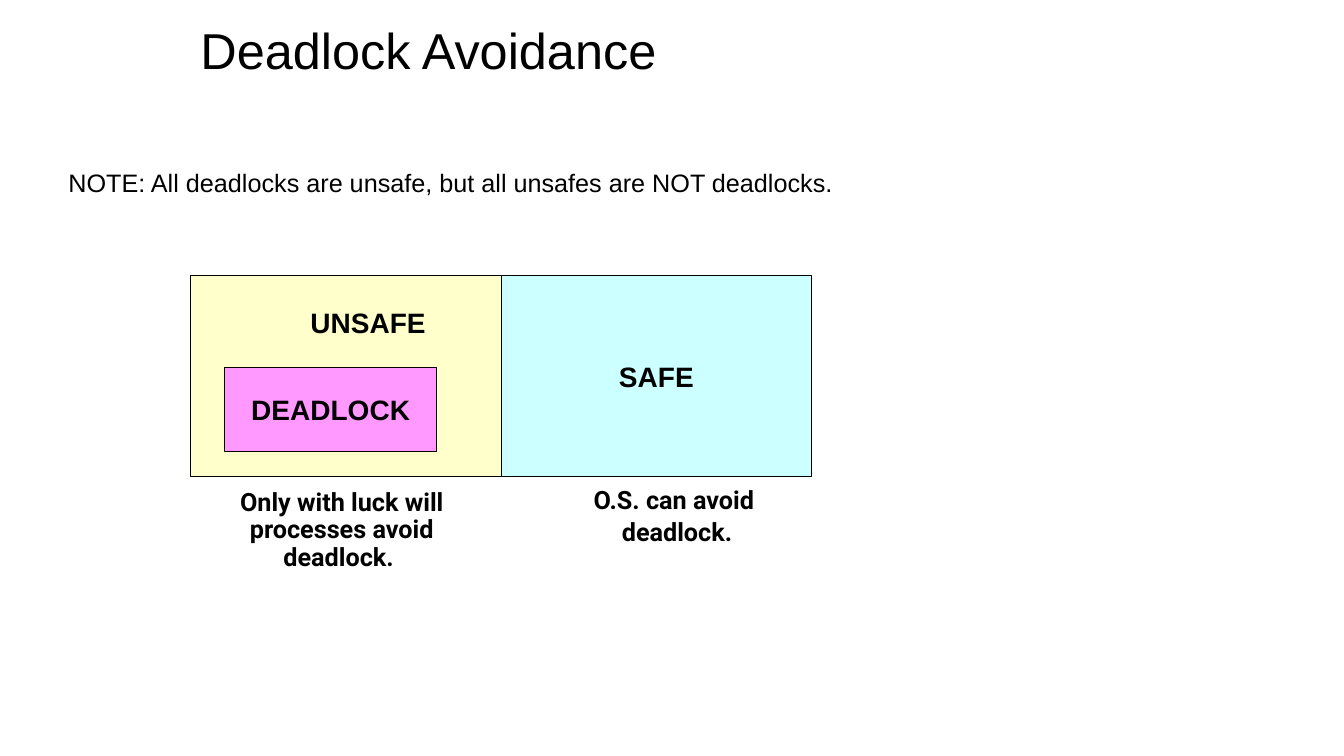
import pptx
import pptx.util
import pptx.dml.color
import pptx.enum.shapes
import pptx.enum.text

Inches = pptx.util.Inches
ALIGN = pptx.enum.text.PP_ALIGN
ANCHOR = pptx.enum.text.MSO_ANCHOR


def color(hex_string):
    return pptx.dml.color.RGBColor.from_string(hex_string)


def write(shape, text, size=18, font="Arial", bold=False, align=ALIGN.LEFT,
          anchor=ANCHOR.TOP, line_spacing=None, space_before=0, wrap=True):
    frame = shape.text_frame
    frame.word_wrap = wrap
    frame.vertical_anchor = anchor
    for index, line in enumerate(text.split("\n")):
        paragraph = frame.add_paragraph() if index else frame.paragraphs[0]
        paragraph.alignment = align
        paragraph.line_spacing = line_spacing
        if index:
            paragraph.space_before = pptx.util.Pt(space_before)
        run = paragraph.add_run()
        run.text = line
        run.font.name = font
        run.font.size = pptx.util.Pt(size)
        run.font.bold = bold
        run.font.color.rgb = color("000000")


presentation = pptx.Presentation()
presentation.slide_width = Inches(13.33)
presentation.slide_height = Inches(7.5)
slide = presentation.slides.add_slide(presentation.slide_layouts[6])

# State regions, with deadlock inside unsafe
region_left, region_top, region_width, region_height = 1.89, 2.73, 3.08, 2
regions = [
    (region_left + region_width, region_top, region_width, region_height, "CCFFFF", "SAFE"),
    (region_left, region_top, region_width, region_height, "FFFFCC", None),
    (2.23, 3.65, 2.1, 0.83, "FF99FF", "DEADLOCK"),
]
for left, top, width, height, fill, label in regions:
    shape = slide.shapes.add_shape(
        pptx.enum.shapes.MSO_SHAPE.RECTANGLE,
        Inches(left), Inches(top), Inches(width), Inches(height))
    shape.shadow.inherit = False
    shape.fill.solid()
    shape.fill.fore_color.rgb = color(fill)
    shape.line.color.rgb = color("000000")
    shape.line.width = pptx.util.Pt(0.75)
    if label:
        write(shape, label, size=20, bold=True, align=ALIGN.CENTER, anchor=ANCHOR.MIDDLE)

# Title, note, unsafe label and captions
caption = dict(font="Roboto", bold=True, align=ALIGN.CENTER, line_spacing=0.9)
texts = [
    (1.89, 0.14, 11.16, 1.31, "Deadlock Avoidance", dict(size=36)),
    (0.58, 1.46, 12.18, 0.86,
     "NOTE: All deadlocks are unsafe, but all unsafes are NOT deadlocks.",
     dict(align=ALIGN.JUSTIFY, line_spacing=1.5)),
    (2.98, 2.98, 1.35, 0.44, "UNSAFE", dict(size=20, bold=True, wrap=False)),
    (1.89, 4.81, 3, 0.92, "Only with luck will processes avoid deadlock. ", caption),
    (5.72, 4.79, 1.99, 0.7, "O.S. can avoid \ndeadlock.", dict(caption, space_before=3.6)),
]
for left, top, width, height, text, text_format in texts:
    box = slide.shapes.add_textbox(Inches(left), Inches(top), Inches(width), Inches(height))
    write(box, text, **text_format)

presentation.save("out.pptx")
